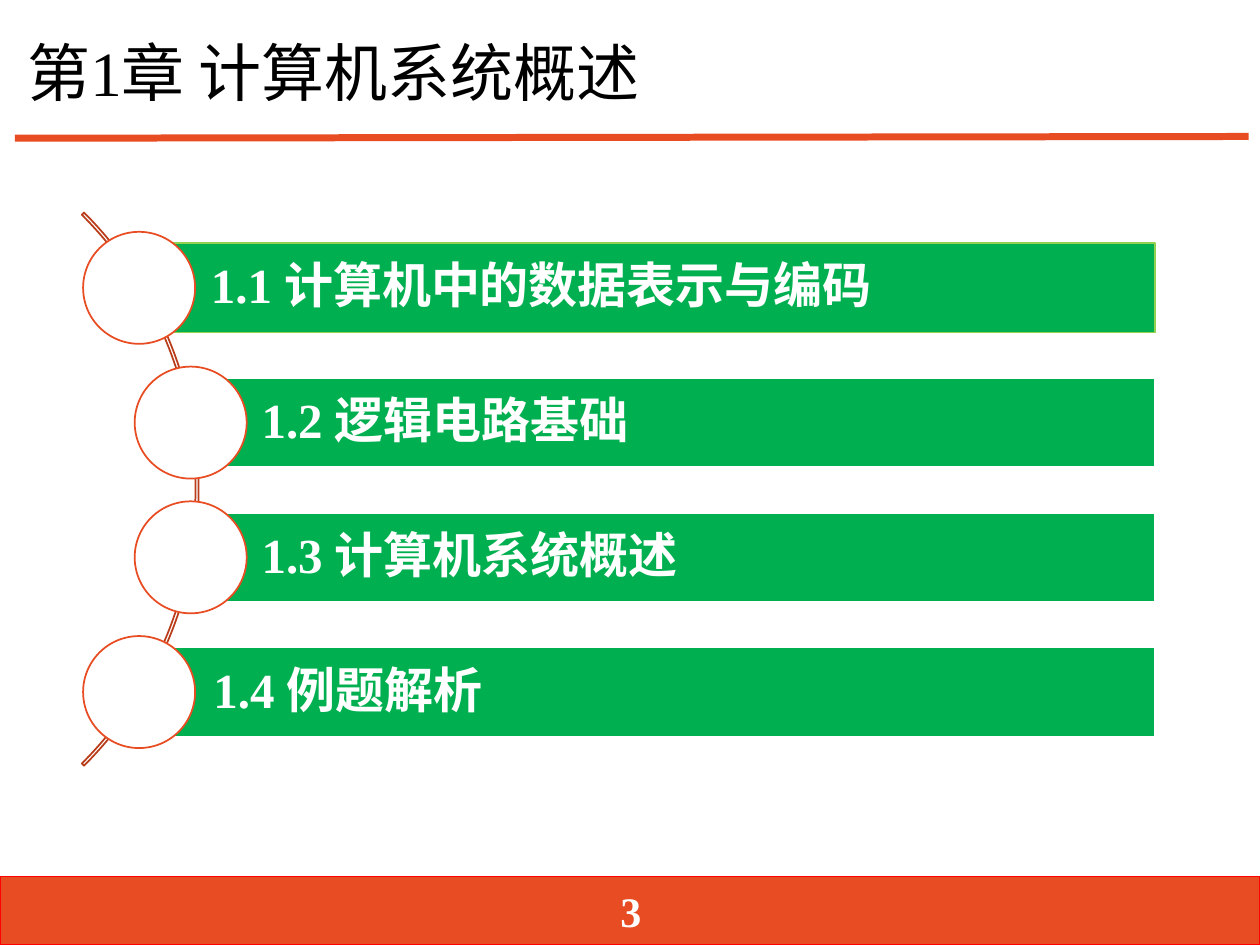
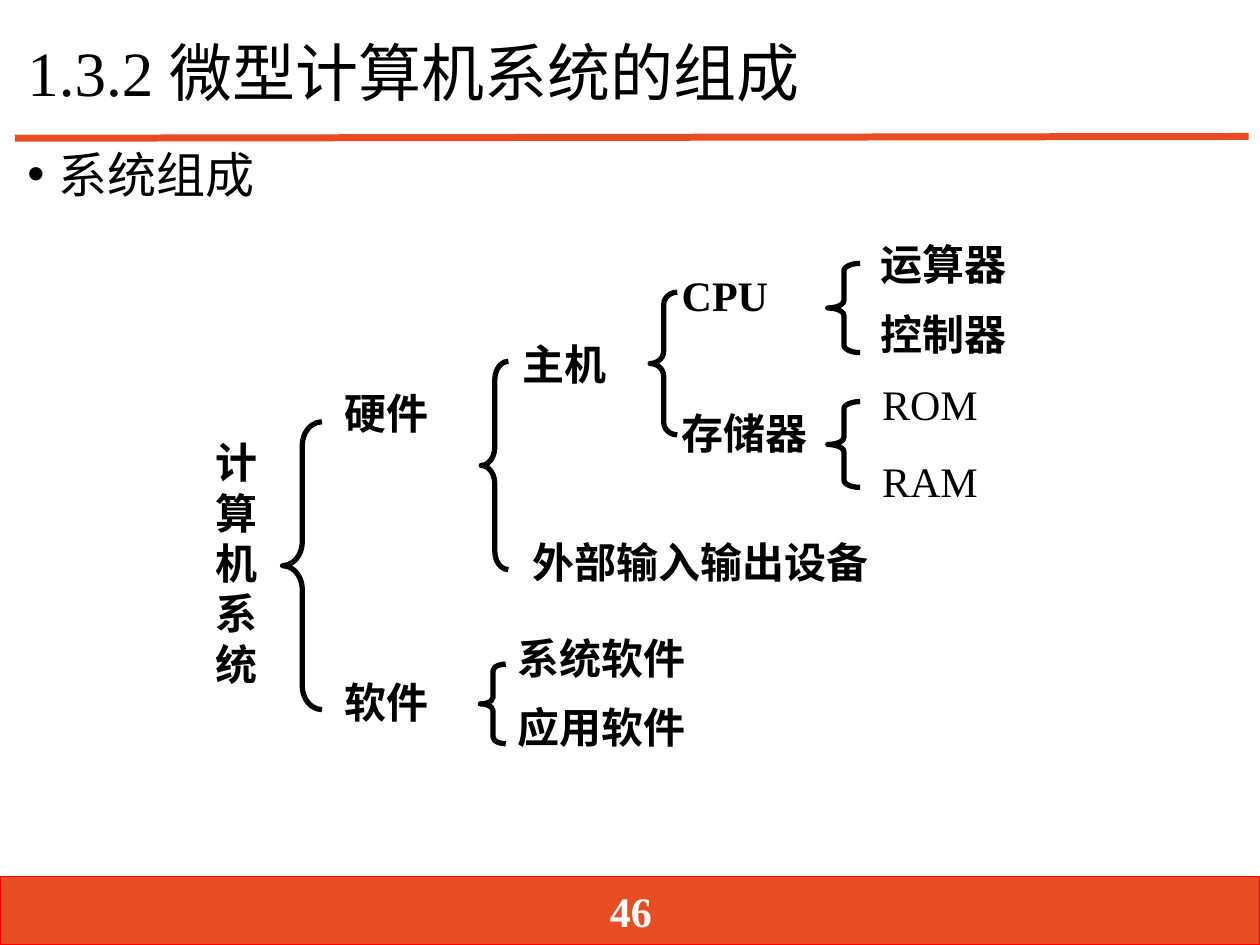
"""Build two slides of a computer systems course: a chapter outline and a system tree."""
import pptx
import pptx.dml.color
import pptx.enum.shapes
import pptx.enum.text
import pptx.oxml
import pptx.oxml.ns
import pptx.util
from lxml import etree

Pt = pptx.util.Pt
RGBColor = pptx.dml.color.RGBColor
MSO_SHAPE = pptx.enum.shapes.MSO_SHAPE
ANCHOR = pptx.enum.text.MSO_ANCHOR
ALIGN = pptx.enum.text.PP_ALIGN
AUTO_SIZE = pptx.enum.text.MSO_AUTO_SIZE
qn = pptx.oxml.ns.qn

ORANGE = RGBColor(0xE8, 0x4C, 0x22)
DARK_ORANGE = RGBColor(0xBA, 0x3D, 0x1B)
RED = RGBColor(0xFF, 0x00, 0x00)
GREEN = RGBColor(0x00, 0xB0, 0x50)
LIGHT_GREEN = RGBColor(0x92, 0xD0, 0x50)
WHITE = RGBColor(0xFF, 0xFF, 0xFF)
BLACK = RGBColor(0x00, 0x00, 0x00)

SECTIONS = [
    ("1.1 计算机中的数据表示与编码", 79.5, 80, LIGHT_GREEN),
    ("1.2 逻辑电路基础", 109, 109, WHITE),
    ("1.3 计算机系统概述", 109, 109, WHITE),
    ("1.4 例题解析", 79.5, 81.5, WHITE),
]
BAND_TOP, BAND_PITCH, BAND_HEIGHT, BAND_RIGHT = 139, 77, 51, 660
CIRCLE = 64

TREE_LABELS = [
    ("计\n算\n机\n系\n统", 116, 246, 39, True),
    ("硬件", 190, 218, 68, True),
    ("软件", 190, 383, 68, True),
    ("主机", 291.5, 190, 70.5, True),
    ("外部输入输出设备", 297.5, 303, 207.5, True),
    ("CPU", 382.5, 150.5, 64, True),
    ("存储器", 382.5, 229.5, 87, True),
    ("运算器", 496, 133, 87, True),
    ("控制器", 496, 173, 87, True),
    ("ROM", 497, 212.5, 69, False),
    ("RAM", 497, 257, 69, False),
    ("系统软件", 288.5, 358, 111, True),
    ("应用软件", 288.5, 397.5, 111, True),
]
TREE_BRACES = [
    (161.5, 241, 22.5, 164.5, 0.61),
    (275, 206.5, 15.5, 119, 0.67),
    (371.5, 167, 15.5, 81.5, 0.46),
    (473, 150.5, 18.5, 51, 0.23),
    (473, 229.5, 18.5, 49, 0.22),
    (274.5, 379.5, 14.5, 45.5, 0.26),
]


class Deck:
    """Hold the shared style and the slide being drawn."""

    font = "Times New Roman"

    def __init__(self):
        """Start a presentation of 10 by 7.5 inches."""
        self.presentation = pptx.Presentation()
        self.presentation.slide_width = Pt(720)
        self.presentation.slide_height = Pt(540)
        self.slide = None

    def add_slide(self, title, number):
        """Add a slide with its title, rule, footer band and page number."""
        self.slide = self.presentation.slides.add_slide(self.presentation.slide_layouts[6])
        self.shape(MSO_SHAPE.RECTANGLE, 0, 501, 720, 39, ORANGE, RED, 0)
        self.line(8.5, 79, 713.5, 78, ORANGE, 4)
        heading = self.text(title, 8.5, 9.5, 705, 68.5, 36, anchor=ANCHOR.MIDDLE)
        heading.paragraphs[0].line_spacing = 0.9
        page = self.text(str(number), 279.5, 506, 162, 29, 24, WHITE, True, ANCHOR.MIDDLE)
        page.paragraphs[0].alignment = ALIGN.CENTER

    def shape(self, kind, left, top, width, height, fill, outline, weight, adjustments=()):
        """Draw a preset shape, unfilled when fill is None."""
        shape = self.slide.shapes.add_shape(kind, Pt(left), Pt(top), Pt(width), Pt(height))
        shape.shadow.inherit = False
        for index, value in enumerate(adjustments):
            shape.adjustments[index] = value
        if fill is None:
            shape.fill.background()
        else:
            shape.fill.solid()
            shape.fill.fore_color.rgb = fill
        shape.line.color.rgb = outline
        shape.line.width = Pt(weight)
        return shape

    def line(self, x1, y1, x2, y2, color, weight):
        """Draw a straight line."""
        connector = self.slide.shapes.add_connector(
            pptx.enum.shapes.MSO_CONNECTOR.STRAIGHT, Pt(x1), Pt(y1), Pt(x2), Pt(y2))
        connector.line.color.rgb = color
        connector.line.width = Pt(weight)
        etree.SubElement(connector._element.spPr, qn("a:effectLst"))

    def fill_frame(self, frame, words, size, color, bold):
        """Fill a text frame, one paragraph for each line of words."""
        frame.text = words
        for paragraph in frame.paragraphs:
            paragraph.alignment = ALIGN.LEFT
            paragraph.font.name = self.font
            paragraph.font.size = Pt(size)
            paragraph.font.bold = bold
            paragraph.font.color.rgb = color

    def text(self, words, left, top, width, height, size, color=BLACK, bold=False,
             anchor=ANCHOR.TOP):
        """Place a wrapping text box and return its frame."""
        box = self.slide.shapes.add_textbox(Pt(left), Pt(top), Pt(width), Pt(height))
        frame = box.text_frame
        frame.word_wrap = True
        frame.vertical_anchor = anchor
        self.fill_frame(frame, words, size, color, bold)
        return frame

    def bullet(self, words, left, top, width, height):
        """Place a bulleted text box."""
        paragraph = self.text(words, left, top, width, height, 28).paragraphs[0]
        paragraph.space_before = Pt(10)
        properties = paragraph._p.get_or_add_pPr()
        properties.set("marL", str(Pt(18)))
        properties.set("indent", str(Pt(-18)))
        etree.SubElement(properties, qn("a:buFont")).set("typeface", "Arial")
        etree.SubElement(properties, qn("a:buChar")).set("char", "•")
        properties.append(properties.find(qn("a:defRPr")))

    def label(self, words, left, top, width, bold):
        """Place a tree label that grows with its text."""
        height = 7.2 + 28.8 * len(words.split("\n"))
        frame = self.text(words, left, top, width, height, 24, bold=bold)
        frame.word_wrap = False
        frame.auto_size = AUTO_SIZE.SHAPE_TO_FIT_TEXT

    def brace(self, left, top, width, height, curve):
        """Draw a left brace."""
        self.shape(MSO_SHAPE.LEFT_BRACE, left, top, width, height, None, BLACK, 3, (curve, 0.5))

    def section(self, words, center, left, top, outline):
        """Draw a section band with the circle at its left end."""
        band = self.shape(MSO_SHAPE.RECTANGLE, left, top, BAND_RIGHT - left, BAND_HEIGHT,
                          GREEN, outline, 1)
        frame = band.text_frame
        frame.margin_left = Pt(40.5)
        frame.margin_right = frame.margin_top = frame.margin_bottom = Pt(5.6)
        frame.vertical_anchor = ANCHOR.MIDDLE
        self.fill_frame(frame, words, 28, WHITE, True)
        frame.paragraphs[0].line_spacing = 0.9
        self.shape(MSO_SHAPE.OVAL, center - CIRCLE / 2, top + (BAND_HEIGHT - CIRCLE) / 2,
                   CIRCLE, CIRCLE, WHITE, ORANGE, 1)


def main():
    """Draw both slides and save them."""
    deck = Deck()

    deck.add_slide("第1章 计算机系统概述", 3)
    deck.shape(MSO_SHAPE.BLOCK_ARC, -333.5, 56, 447, 447, None, DARK_ORANGE, 1,
               (189, 27, 0.004))
    for row, (words, center, left, outline) in enumerate(SECTIONS):
        deck.section(words, center, left, BAND_TOP + row * BAND_PITCH, outline)

    deck.add_slide("1.3.2 微型计算机系统的组成", 46)
    deck.bullet("系统组成", 8.5, 79, 705, 422)
    for label in TREE_LABELS:
        deck.label(*label)
    for brace in TREE_BRACES:
        deck.brace(*brace)

    deck.presentation.save("out.pptx")


if __name__ == "__main__":
    main()
